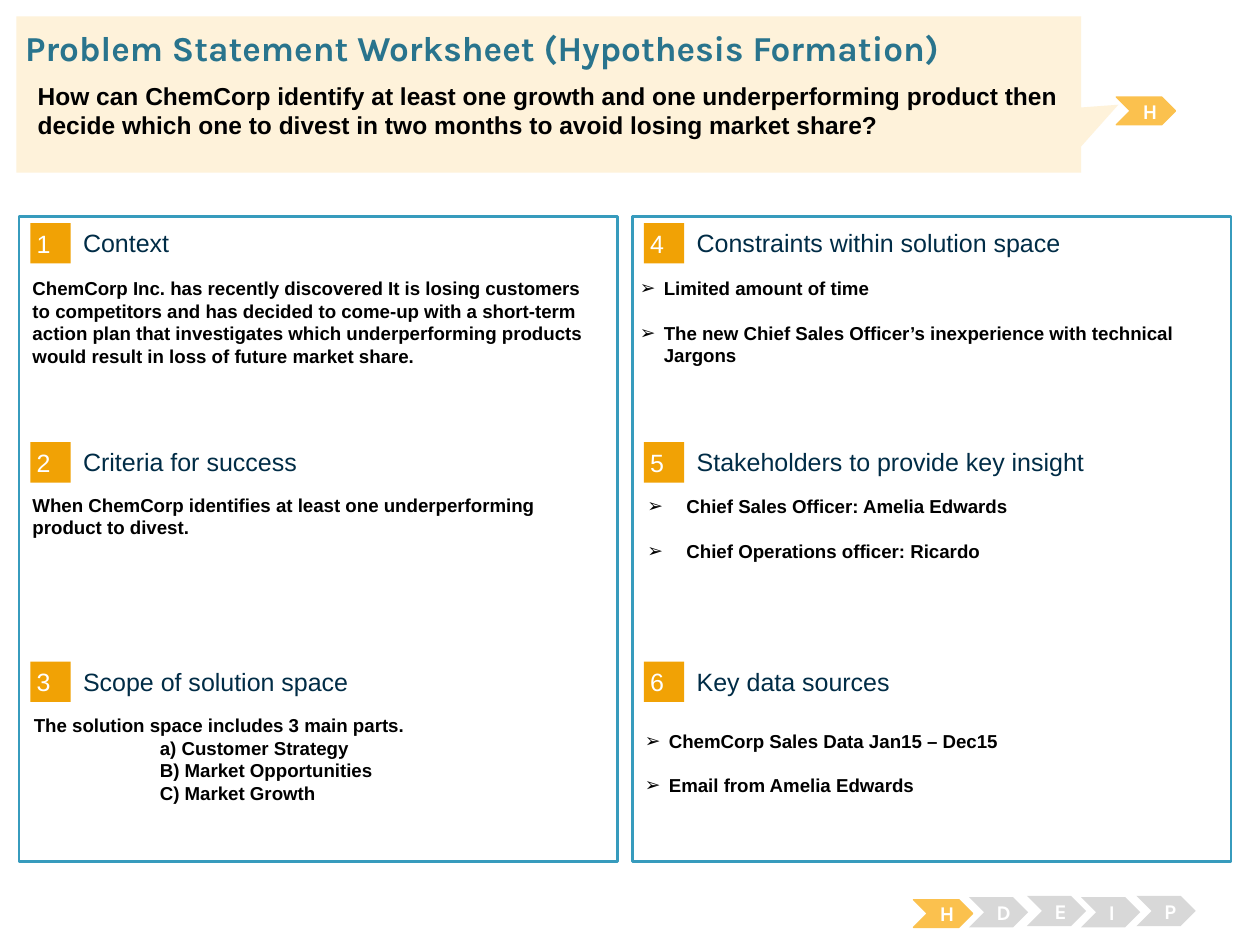
"""Build a one-page problem statement worksheet."""
from lxml.etree import SubElement
from pptx import Presentation
from pptx.dml.color import RGBColor
from pptx.enum.shapes import MSO_SHAPE as Shape
from pptx.enum.text import MSO_ANCHOR as Anchor, PP_ALIGN as Align
from pptx.oxml.ns import qn
from pptx.util import Inches, Pt

BODY, HEADING = "Arial", "Karla"
BLACK, WHITE, NAVY, TEAL = "000000", "FFFFFF", "002C46", "29748D"
BLUE, ORANGE, AMBER, CREAM, GREY = "379BBD", "F1A205", "FBC14E", "FEF2DA", "D8D8D8"
NONE, SMALL, NORMAL = (0, 0), (0.05, 0.05), (0.1, 0.05)
BODY_SIZE, LABEL_SIZE = 10.7, 14.3


def color(code):
    return RGBColor.from_string(code)


class Worksheet:
    def __init__(self, deck):
        self.page = deck.slides.add_slide(deck.slide_layouts[6])

    def label(self, box, lines, size, ink, face=BODY, bold=False, insets=NORMAL,
              anchor=Anchor.TOP, align=Align.LEFT, gap=0):
        frame = box.text_frame
        frame.word_wrap = True
        frame.vertical_anchor = anchor
        frame.margin_left = frame.margin_right = Inches(insets[0])
        frame.margin_top = frame.margin_bottom = Inches(insets[1])
        for index, line in enumerate(lines):
            para = frame.add_paragraph() if index else frame.paragraphs[0]
            para.text = line
            para.alignment = align
            para.space_before = Pt(gap if index else 0)
            font = para.font
            font.name, font.size, font.bold = face, Pt(size), bold
            font.color.rgb = color(ink)
        return frame

    def shape(self, kind, area, fill, line=None, width=0.75):
        shape = self.page.shapes.add_shape(kind, *map(Inches, area))
        shape.shadow.inherit = False
        shape.fill.solid()
        shape.fill.fore_color.rgb = color(fill)
        if line:
            shape.line.color.rgb = color(line)
            shape.line.width = Pt(width)
        else:
            shape.line.fill.background()
        return shape

    def text(self, area, lines, size=BODY_SIZE, ink=BLACK, bold=True, **style):
        box = self.page.shapes.add_textbox(*map(Inches, area))
        return self.label(box, lines, size, ink, bold=bold, **style)

    def section(self, left, top, number, heading):
        badge = self.shape(Shape.RECTANGLE, (left, top, 0.32, 0.32), ORANGE)
        self.label(badge, [str(number)], LABEL_SIZE, WHITE, insets=SMALL, anchor=Anchor.MIDDLE)
        self.text((left + 0.42, top + 0.03, 3.93, 0.25), [heading], LABEL_SIZE, NAVY,
                  bold=False, insets=NONE, anchor=Anchor.MIDDLE)

    def bullets(self, area, lines, indent):
        frame = self.text(area, lines, gap=12.7)
        for para in frame.paragraphs:
            props = para._p.get_or_add_pPr()
            props.set("marL", str(Inches(indent)))
            props.set("indent", str(-Inches(indent)))
            tint = SubElement(props, qn("a:buClr"))
            SubElement(tint, qn("a:srgbClr"), val=BLACK)
            face = SubElement(props, qn("a:buFont"), typeface=BODY)
            mark = SubElement(props, qn("a:buChar"), char="➢")
            default = props.find(qn("a:defRPr"))
            for part in (tint, face, mark):
                default.addprevious(part)
        return frame

    def step(self, left, top, letter, active=False):
        height, fill = (0.22, AMBER) if active else (0.24, GREY)
        chevron = self.shape(Shape.CHEVRON, (left, top, 0.47, height), fill,
                             AMBER if active else None)
        self.label(chevron, [letter], 12, WHITE, HEADING, True,
                   anchor=Anchor.MIDDLE, align=Align.CENTER)


def main():
    deck = Presentation()
    deck.slide_width, deck.slide_height = Inches(10), Inches(7.5)
    sheet = Worksheet(deck)

    columns = [
        (0.15, ["Context", "Criteria for success", "Scope of solution space"]),
        (5.02, ["Constraints within solution space",
                "Stakeholders to provide key insight", "Key data sources"]),
    ]
    for column, (left, headings) in enumerate(columns):
        sheet.shape(Shape.RECTANGLE, (left, 1.72, 4.75, 5.12), WHITE, BLUE, 1.5)
        for row, heading in enumerate(headings):
            sheet.section(left + 0.09, 1.77 + 1.74 * row, 3 * column + row + 1, heading)

    sheet.text((0.16, 2.15, 4.73, 1.36), [
        "ChemCorp Inc. has recently discovered It is losing customers to competitors "
        "and has decided to come-up with a short-term action plan that investigates "
        "which underperforming products would result in loss of future market share."])
    sheet.text((0.16, 3.87, 4.73, 1.21), [
        "When ChemCorp identifies at least one underperforming product to divest."])
    scope = sheet.text((0.17, 5.62, 4.73, 1.17), [
        "The solution space includes 3 main parts.",
        "a) Customer Strategy", "B) Market Opportunities", "C) Market Growth"])
    for para in scope.paragraphs[1:]:
        para._p.get_or_add_pPr().set("marL", str(Inches(1)))

    sheet.bullets((4.98, 2.15, 4.73, 1.18), [
        "Limited amount of time",
        "The new Chief Sales Officer’s inexperience with technical Jargons"], 0.19)
    sheet.bullets((5.04, 3.88, 4.73, 1.18), [
        "Chief Sales Officer: Amelia Edwards",
        "Chief Operations officer: Ricardo"], 0.31)
    sources = sheet.bullets((5.02, 5.56, 4.73, 1.18), [
        "ChemCorp Sales Data Jan15 – Dec15", "Email from Amelia Edwards"], 0.19)
    sources.margin_top = Inches(0.23)

    steps = [(7.25, 7.14, "H"), (7.69, 7.12, "D"), (8.15, 7.11, "E"),
             (8.58, 7.12, "I"), (9.02, 7.11, "P")]
    for left, top, letter in steps:
        sheet.step(left, top, letter, letter == "H")
    sheet.step(8.86, 0.77, "H", True)

    callout = sheet.shape(Shape.RECTANGULAR_CALLOUT, (0.13, 0.13, 8.45, 1.24), CREAM)
    callout.adjustments[0], callout.adjustments[1] = 0.535, 0.066
    sheet.text((0.2, 0.21, 9.62, 0.34), ["Problem Statement Worksheet (Hypothesis Formation)"],
               20, TEAL, face=HEADING, insets=NONE)
    sheet.text((0.2, 0.59, 8.38, 0.54), [
        "How can ChemCorp identify at least one growth and one underperforming product "
        "then decide which one to divest in two months to avoid losing market share?"], 14)

    deck.save("out.pptx")


if __name__ == "__main__":
    main()
